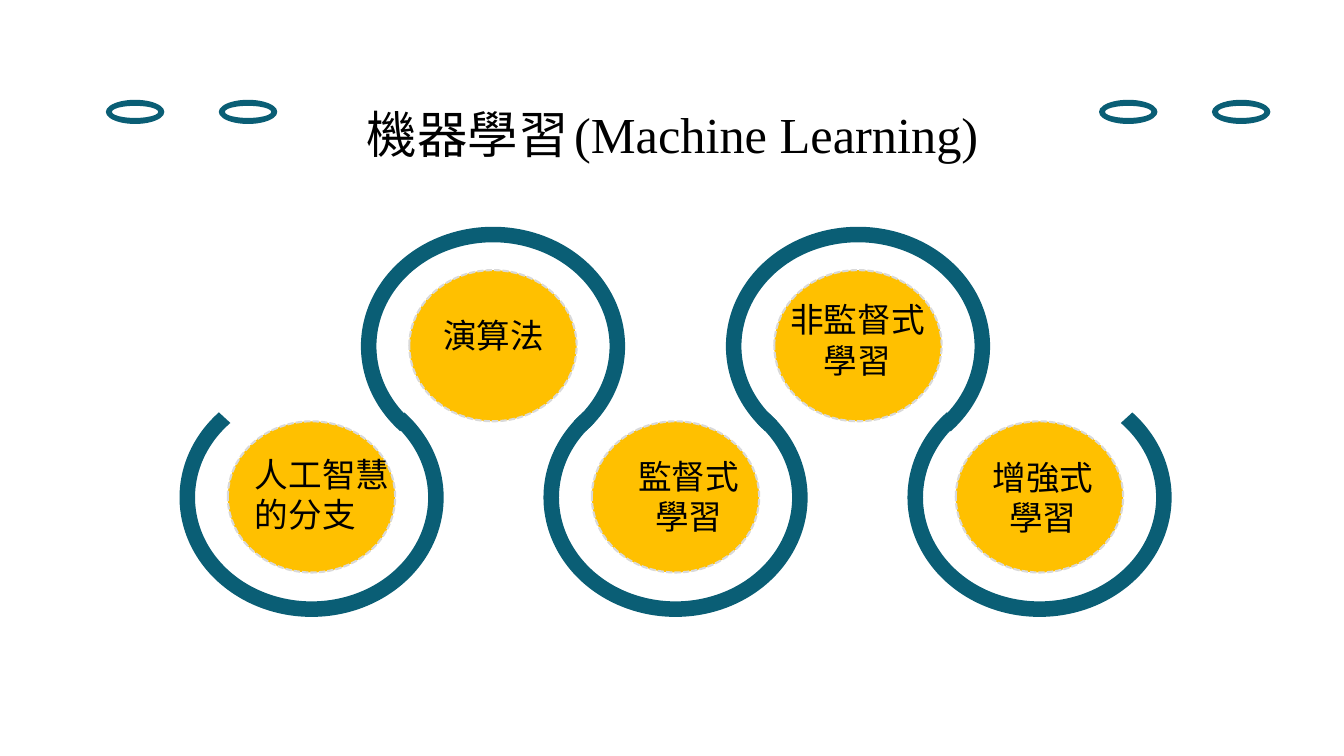
from lxml.etree import SubElement
from pptx import Presentation
from pptx.dml.color import RGBColor
from pptx.enum.dml import MSO_LINE
from pptx.enum.shapes import MSO_SHAPE
from pptx.enum.text import MSO_AUTO_SIZE, PP_ALIGN
from pptx.oxml.ns import qn
from pptx.util import Emu, Pt

TEAL = RGBColor(0x0A, 0x5E, 0x75)
AMBER = RGBColor(0xFF, 0xC0, 0x00)
GREY = RGBColor(0xD9, 0xD9, 0xD9)
BLACK = RGBColor(0x00, 0x00, 0x00)
CHINESE = "Noto Sans CJK SC"
ENGLISH = "Times New Roman"
EMU_PER_PX = 9144


def px(*lengths):
    return [Emu(length * EMU_PER_PX) for length in lengths]


class SlideBuilder:
    def __init__(self, page):
        self.page = page

    def shape(self, kind, bounds, fill):
        shape = self.page.shapes.add_shape(kind, *px(*bounds))
        shape.shadow.inherit = False
        shape.fill.solid()
        shape.fill.fore_color.rgb = fill
        shape.line.fill.background()
        return shape

    def ring(self, left):
        self.shape(MSO_SHAPE.DONUT, (left, 99, 58, 24), TEAL)

    def arc(self, left, top, opens_up):
        arc = self.shape(MSO_SHAPE.BLOCK_ARC, (left, top, 262, 237), TEAL)
        for index, value in enumerate((82.5, 25.54, 0.065)):
            arc.adjustments[index] = value
        arc.rotation = 180 if opens_up else 0

    def disc(self, left, top):
        disc = self.shape(MSO_SHAPE.OVAL, (left, top, 166, 150), AMBER)
        disc.line.color.rgb = GREY
        disc.line.width = Pt(1.5)
        disc.line.dash_style = MSO_LINE.SQUARE_DOT

    def text(self, bounds, lines, align):
        box = self.page.shapes.add_textbox(*px(*bounds))
        frame = box.text_frame
        frame.word_wrap = True
        frame.auto_size = MSO_AUTO_SIZE.SHAPE_TO_FIT_TEXT
        for index, spans in enumerate(lines):
            para = frame.add_paragraph() if index else frame.paragraphs[0]
            para.alignment = align
            for words, size, font in spans:
                self.span(para, words, size, font)

    def span(self, para, words, size, font):
        span = para.add_run()
        span.text = words
        span.font.size = Pt(size)
        span.font.color.rgb = BLACK
        span.font.name = font
        east_asian = SubElement(span.font._element, qn("a:ea"))
        east_asian.set("typeface", font)

    def label(self, bounds, lines, align=PP_ALIGN.CENTER):
        self.text(bounds, [[(line, 24, CHINESE)] for line in lines], align)


def main():
    deck = Presentation()
    deck.slide_width, deck.slide_height = px(1333, 750)
    builder = SlideBuilder(deck.slides.add_slide(deck.slide_layouts[6]))

    for left in (105, 217, 1090, 1202):
        builder.ring(left)
    title = [("機器學習", 36, CHINESE), (" ", 18, CHINESE),
             ("(Machine Learning)", 36, ENGLISH)]
    builder.text((354, 97, 638, 71), [title], PP_ALIGN.JUSTIFY)

    steps = [(178 + round(index * 180.5), 225 if index % 2 else 375, index % 2 == 0)
             for index in range(5)]
    for left, top, opens_up in steps:
        builder.arc(left, top, opens_up)
    for left, top, _ in steps:
        builder.disc(left + 48, top + 43)

    builder.label((373, 308, 233, 50), ["演算法"])
    builder.label((740, 292, 221, 91), ["非監督式", "學習"])
    builder.label((243, 445, 179, 91), ["人工智慧", "的分支"], PP_ALIGN.LEFT)
    builder.label((587, 447, 192, 91), ["監督式", "學習"])
    builder.label((918, 448, 233, 91), ["增強式", "學習"])

    deck.save("out.pptx")


if __name__ == "__main__":
    main()
